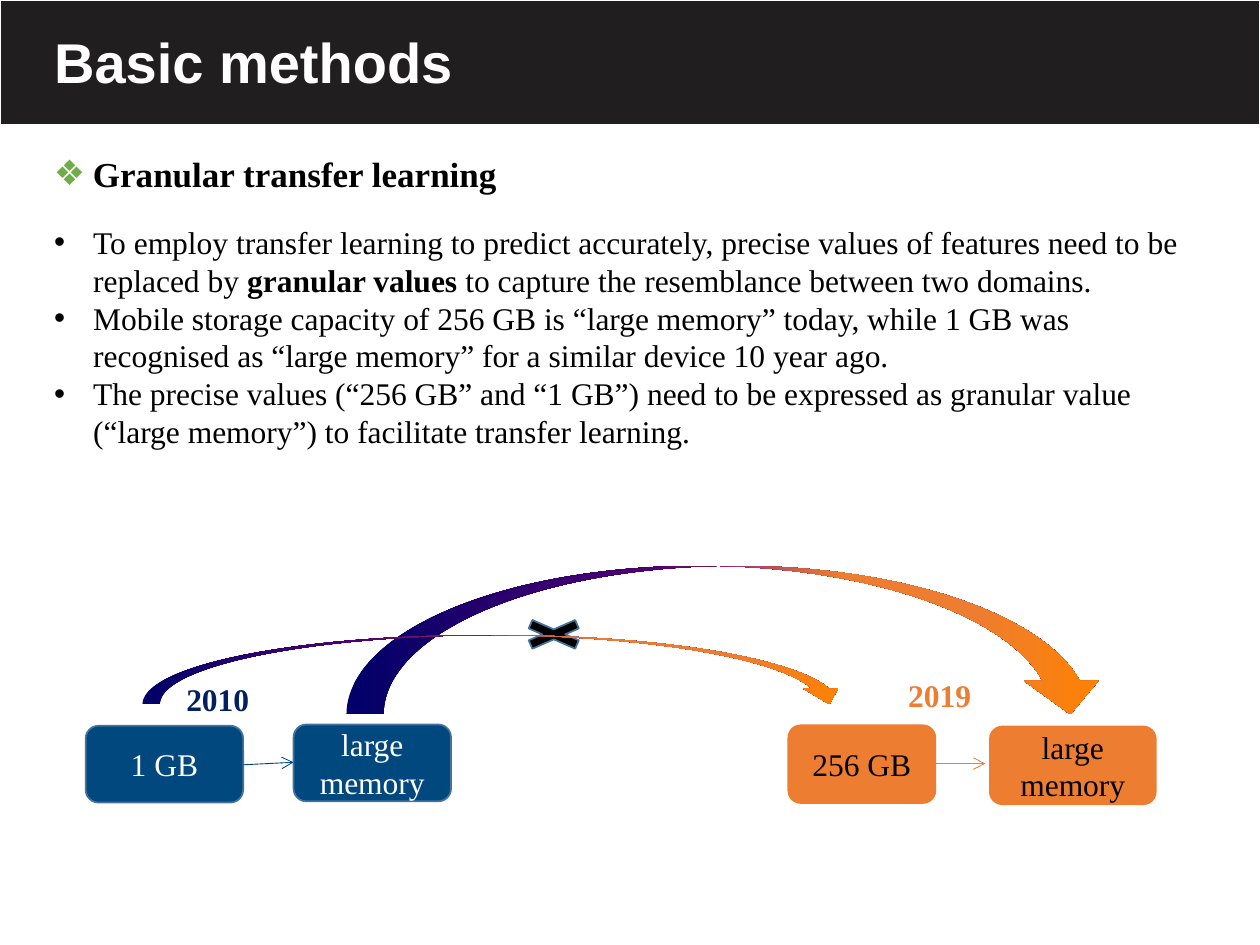
import pptx
import pptx.util
import pptx.dml.color
import pptx.enum.shapes
import pptx.enum.text
import pptx.oxml
import pptx.oxml.ns
import lxml.etree

Inches = pptx.util.Inches
Pt = pptx.util.Pt
SHAPE = pptx.enum.shapes.MSO_SHAPE
ANCHOR = pptx.enum.text.MSO_ANCHOR
ALIGN = pptx.enum.text.PP_ALIGN
qn = pptx.oxml.ns.qn

COLORS = {
    "band": "211E20", "white": "FFFFFF", "black": "000000", "green": "70AD47",
    "blue": "00487E", "edge": "43739E", "navy": "002060", "orange": "ED7D31",
    "deep": "000082", "purple": "66008F", "amber": "FF8200",
}
SERIF = "Times New Roman"


def rgb(name):
    return pptx.dml.color.RGBColor.from_string(COLORS[name])


def add_run(p, text, size=18, font=SERIF, color="black", bold=False):
    r = p.add_run()
    r.text = text
    r.font.size = Pt(size)
    r.font.name = font
    r.font.bold = bold
    r.font.color.rgb = rgb(color)
    return r


def set_bullet(p, char, color="black"):
    pPr = p._p.get_or_add_pPr()
    pPr.set("marL", str(Inches(0.31)))
    pPr.set("indent", str(-Inches(0.31)))
    clr = lxml.etree.SubElement(pPr, qn("a:buClr"))
    lxml.etree.SubElement(clr, qn("a:srgbClr"), val=COLORS[color])
    lxml.etree.SubElement(pPr, qn("a:buFont"), typeface="Arial")
    lxml.etree.SubElement(pPr, qn("a:buChar"), char=char)


def place(sp, box):
    sp.left, sp.top, sp.width, sp.height = [Inches(v) for v in box]


def add_shape(s, kind, box, fill=None, line=None):
    sp = s.shapes.add_shape(kind, *[Inches(v) for v in box])
    sp.shadow.inherit = False
    if fill:
        sp.fill.solid()
        sp.fill.fore_color.rgb = rgb(fill)
    if line:
        sp.line.color.rgb = rgb(line)
        sp.line.width = Pt(1)
    else:
        sp.line.fill.background()
    return sp


def add_text(s, box, text, bullet=None, **fmt):
    sp = s.shapes.add_textbox(*[Inches(v) for v in box])
    tf = sp.text_frame
    tf.word_wrap = True
    p = tf.paragraphs[0]
    if bullet:
        set_bullet(p, bullet, "green")
    add_run(p, text, **fmt)


def add_node(s, box, text, fill, color, line=None):
    sp = add_shape(s, SHAPE.ROUNDED_RECTANGLE, box, fill, line)
    tf = sp.text_frame
    tf.word_wrap = True
    tf.vertical_anchor = ANCHOR.MIDDLE
    p = tf.paragraphs[0]
    p.alignment = ALIGN.CENTER
    add_run(p, text, color=color)


def add_arc(s, box, stops):
    sp = add_shape(s, SHAPE.CURVED_DOWN_ARROW, box)
    for i, value in enumerate((0.25, 0.5, 0.225)):
        sp.adjustments[i] = value
    sp.fill.gradient()
    sp.fill.gradient_angle = 0
    gs_lst = sp._element.spPr.find(qn("a:gradFill")).find(qn("a:gsLst"))
    for gs in list(gs_lst):
        gs_lst.remove(gs)
    for pos, name in stops:
        gs = lxml.etree.SubElement(gs_lst, qn("a:gs"), pos=str(pos * 1000))
        lxml.etree.SubElement(gs, qn("a:srgbClr"), val=COLORS[name])


def add_arrow(s, start, end, color):
    c = s.shapes.add_connector(pptx.enum.shapes.MSO_CONNECTOR.STRAIGHT,
                               *[Inches(v) for v in start + end])
    c.line.color.rgb = rgb(color)
    c.line.width = Pt(0.5)
    lxml.etree.SubElement(c.line._get_or_add_ln(), qn("a:tailEnd"), type="arrow")
    lxml.etree.SubElement(c._element.spPr, qn("a:effectLst"))


def add_header(s, box, text):
    x, y, w, h = box
    band = add_shape(s, SHAPE.RECTANGLE, box, "band", "white")
    s.shapes._spTree.insert(2, band._element)
    title = s.shapes.title
    place(title, (x + 0.33, y + 0.1, w - 0.66, 0.83))
    tf = title.text_frame
    tf.auto_size = pptx.enum.text.MSO_AUTO_SIZE.NONE
    tf.vertical_anchor = ANCHOR.MIDDLE
    p = tf.paragraphs[0]
    p.alignment = ALIGN.LEFT
    p.line_spacing = 0.9
    add_run(p, text, size=32, font="Arial", color="white", bold=True)


def add_points(s, box, points):
    body = s.placeholders[1]
    place(body, box)
    tf = body.text_frame
    tf.auto_size = pptx.enum.text.MSO_AUTO_SIZE.NONE
    for i, runs in enumerate(points):
        p = tf.paragraphs[0] if i == 0 else tf.add_paragraph()
        p.space_before = Pt(0)
        set_bullet(p, "•")
        for text, bold in runs:
            add_run(p, text, bold=bold)


def add_diagram(s, box):
    x, y, w, h = box

    def at(dx, dy, *size):
        return (x + dx, y + dy) + size

    add_node(s, at(0, 1.27, 1.25, 0.61), "1 GB", "blue", "white", "edge")
    add_text(s, at(0.7, 0.86, 1.02, 0.4), "2010", color="navy", bold=True)
    add_node(s, at(5.57, 1.26, 1.18, 0.63), "256 GB", "orange", "black")
    add_arc(s, at(2.07, 0, 6.04, 1.18),
            [(0, "deep"), (40, "purple"), (65, "orange"), (82, "orange"), (100, "amber")])
    add_node(s, at(1.65, 1.26, 1.25, 0.61), "large memory", "blue", "white", "edge")
    add_node(s, at(7.17, 1.27, 1.33, 0.63), "large memory", "orange", "black")
    add_text(s, at(6.43, 0.83, 1.02, 0.4), "2019", color="orange", bold=True)
    add_arrow(s, at(1.25, 1.58), at(1.65, 1.56), "blue")
    add_arrow(s, at(6.74, 1.57), at(7.14, 1.57), "orange")
    add_shape(s, SHAPE.MATH_MULTIPLY, at(3.36, 0.39, 0.71, 0.31), "black", "edge")
    add_arc(s, at(0.45, 0.55, 5.59, 0.55),
            [(0, "deep"), (30, "purple"), (65, "orange"), (85, "orange"), (100, "amber")])


def main():
    prs = pptx.Presentation()
    prs.slide_width, prs.slide_height = Inches(10), Inches(7.5)
    s = prs.slides.add_slide(prs.slide_layouts[1])
    add_header(s, (0, 0, 10, 0.99), "Basic methods")
    add_text(s, (0.33, 1.16, 4.1, 0.44), "Granular transfer learning",
             bullet="❖", size=20, bold=True)
    add_points(s, (0.33, 1.72, 9.34, 1.91), [
        [("To employ transfer learning to predict accurately, precise values of "
          "features need to be replaced by ", False),
         ("granular values ", True),
         ("to capture the resemblance between two domains.", False)],
        [("Mobile storage capacity of 256 GB is “large memory” today, while 1 GB was "
          "recognised as “large memory” for a similar device 10 year ago.", False)],
        [("The precise values (“256 GB” and “1 GB”) need to be expressed as granular "
          "value (“large memory”) to facilitate transfer learning.", False)],
    ])
    add_diagram(s, (0.68, 4.49, 8.5, 1.9))
    prs.save("out.pptx")


if __name__ == "__main__":
    main()
